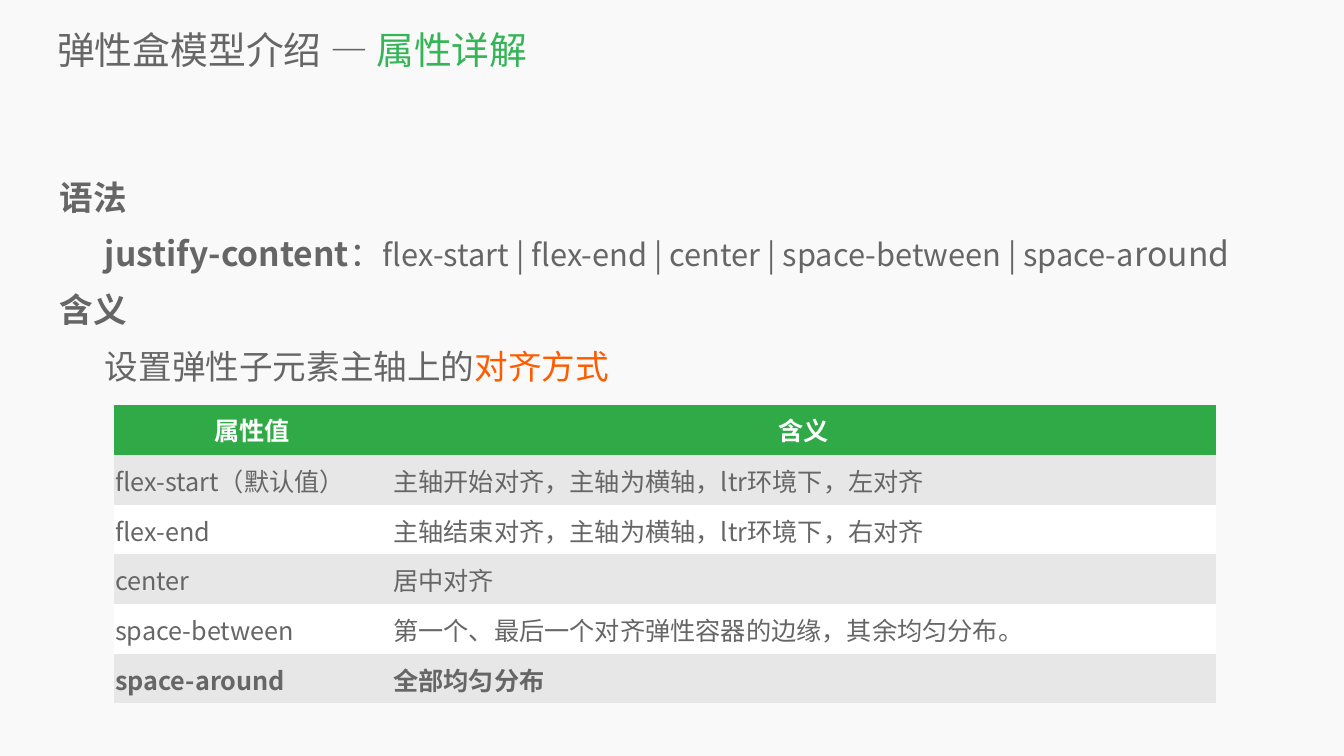
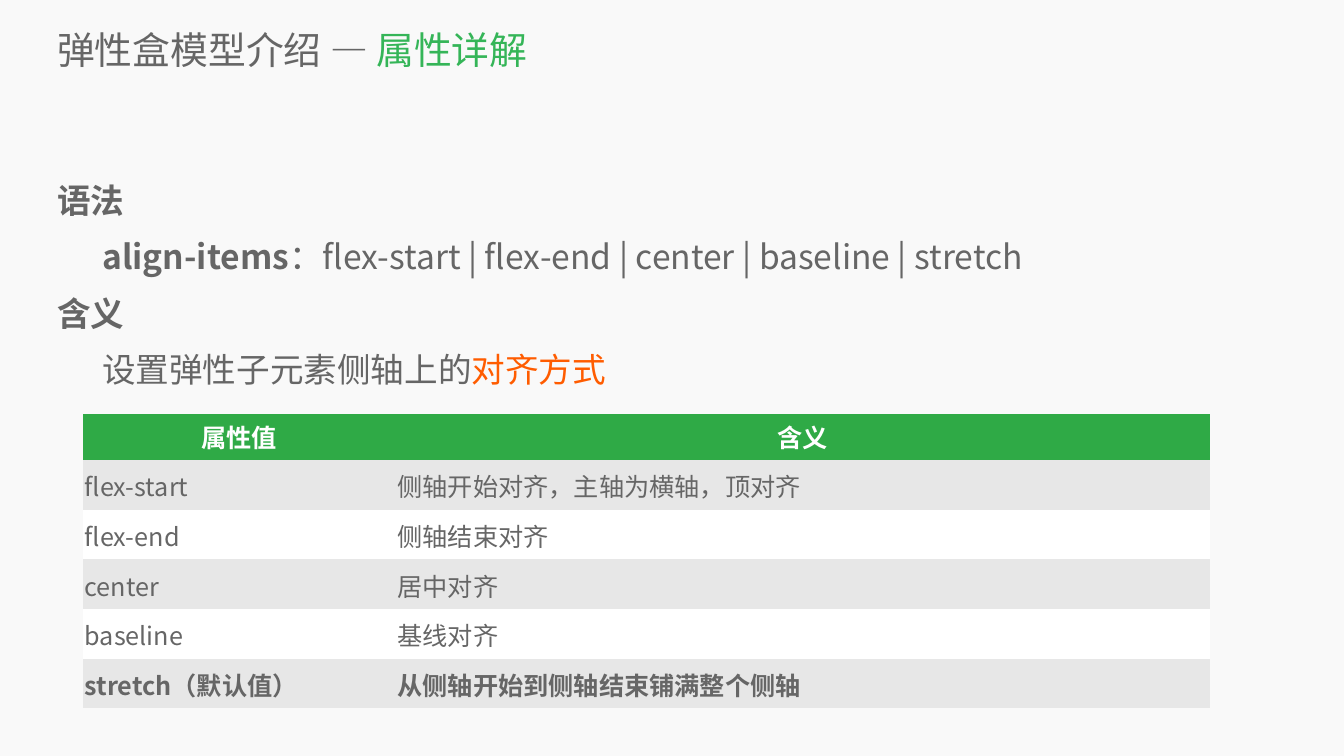
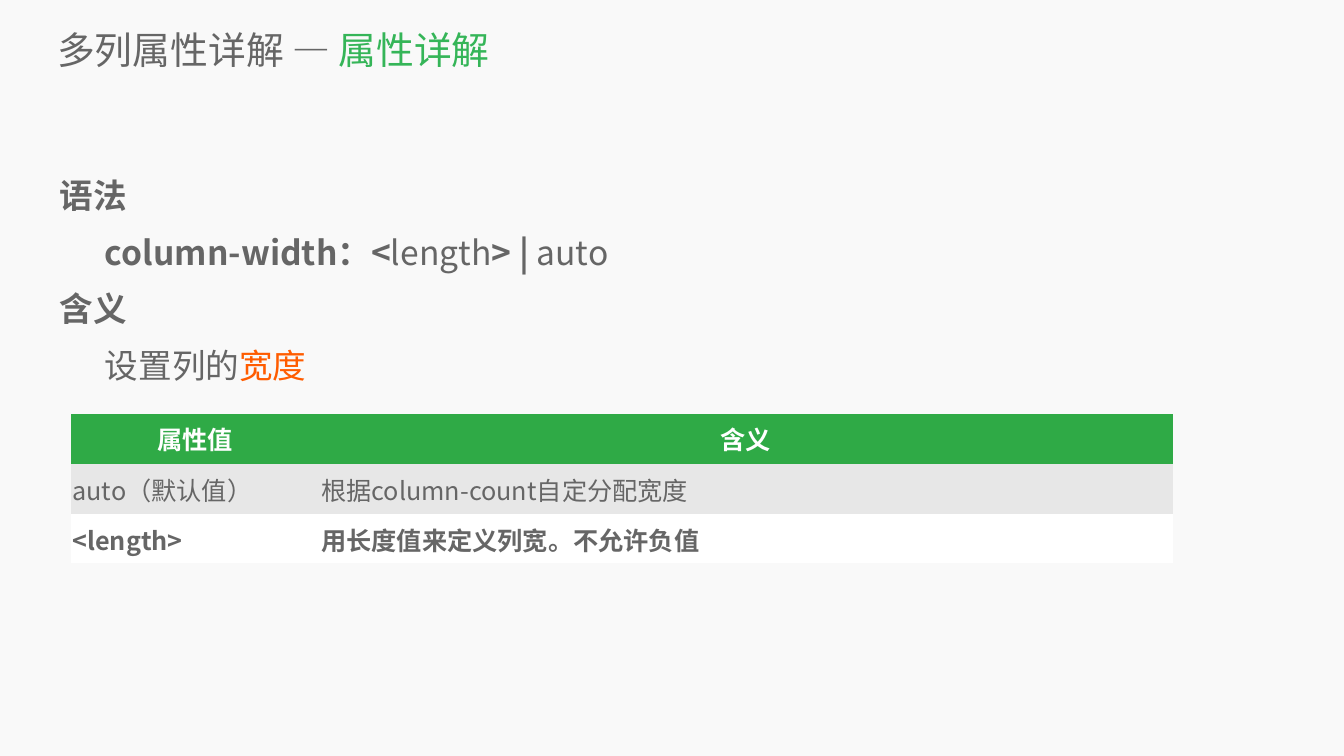
"""Build three slides that explain CSS layout properties with value tables."""
from dataclasses import dataclass

from pptx import Presentation
from pptx.dml.color import RGBColor as Rgb
from pptx.enum.text import MSO_ANCHOR as Anchor, MSO_AUTO_SIZE as Fit, PP_ALIGN as Align
from pptx.oxml import parse_xml
from pptx.oxml.ns import nsdecls, qn
from pptx.util import Pt


@dataclass(frozen=True)
class Theme:
    font: str = "Noto Sans CJK SC"
    back: str = "F9F9F9"
    gray: str = "666666"
    green: str = "35B558"
    orange: str = "FF5C00"
    head: str = "2FAA46"
    white: str = "FFFFFF"
    band: str = "E7E7E7"
    title: int = 54
    body: int = 48
    small: int = 44
    cell: int = 36


theme = Theme()
plain = "{2D5ABB26-0587-4C30-8999-92F81FD0307C}"


def style(run, size, color, bold=False):
    font = run.font
    font.size, font.bold, font.name = Pt(size), bold, theme.font
    font.color.rgb = Rgb.from_string(color)
    east = parse_xml(f'<a:ea {nsdecls("a")} typeface="{theme.font}"/>')
    font._element.find(qn("a:latin")).addnext(east)


def frame_up(frame, anchor):
    frame.margin_left = frame.margin_right = frame.margin_top = frame.margin_bottom = 0
    frame.word_wrap, frame.auto_size = True, Fit.NONE
    frame.vertical_anchor = anchor


pages = [
    {
        "topic": "弹性盒模型介绍",
        "body": (85.5, 229),
        "syntax": [
            ("\tjustify-content", True, theme.body),
            ("：", False, theme.body),
            ("flex-start | flex-end | center | space-between | space-a", False, theme.small),
            ("round", False, theme.body),
        ],
        "sense": ("\t设置弹性子元素主轴上的", "对齐方式"),
        "table": (162.5, 578),
        "cols": (397.5, 1176.5),
        "head": 72,
        "rows": [
            ("flex-start（默认值）", "主轴开始对齐，主轴为横轴，ltr环境下，左对齐"),
            ("flex-end", "主轴结束对齐，主轴为横轴，ltr环境下，右对齐"),
            ("center", "居中对齐"),
            ("space-between", "第一个、最后一个对齐弹性容器的边缘，其余均匀分布。"),
            ("space-around", "全部均匀分布"),
        ],
    },
    {
        "topic": "弹性盒模型介绍",
        "body": (81.5, 233.5),
        "syntax": [
            ("\talign-items", True, theme.body),
            ("：flex-start | flex-end | center | baseline | stretch", False, theme.body),
        ],
        "sense": ("\t设置弹性子元素侧轴上的", "对齐方式"),
        "table": (119, 591),
        "cols": (447, 1163),
        "head": 63.5,
        "rows": [
            ("flex-start", "侧轴开始对齐，主轴为横轴，顶对齐"),
            ("flex-end", "侧轴结束对齐"),
            ("center", "居中对齐"),
            ("baseline", "基线对齐"),
            ("stretch（默认值）", "从侧轴开始到侧轴结束铺满整个侧轴"),
        ],
    },
    {
        "topic": "多列属性详解",
        "body": (85.5, 227.5),
        "syntax": [
            ("\tcolumn-width：<", True, theme.body),
            ("length", False, theme.body),
            ("> | ", True, theme.body),
            ("auto", False, theme.body),
        ],
        "sense": ("\t设置列的", "宽度"),
        "table": (101.5, 591),
        "cols": (355.5, 1219),
        "head": 72,
        "rows": [
            ("auto（默认值）", "根据column-count自定分配宽度"),
            ("<length>", "用长度值来定义列宽。不允许负值"),
        ],
    },
]

deck = Presentation()
deck.slide_width, deck.slide_height = Pt(1920), Pt(1080)
fill = deck.slide_master.background.fill
fill.solid()
fill.fore_color.rgb = Rgb.from_string(theme.back)

for page in pages:
    slide = deck.slides.add_slide(deck.slide_layouts[5])

    title = slide.shapes.title
    title.left, title.top, title.width, title.height = Pt(81.5), Pt(34), Pt(1811.5), Pt(73.5)
    frame_up(title.text_frame, Anchor.MIDDLE)
    para = title.text_frame.paragraphs[0]
    para.alignment = Align.LEFT
    for text, color in ((page["topic"] + " — ", theme.gray), ("属性详解", theme.green)):
        run = para.add_run()
        run.text = text
        style(run, theme.title, color)

    left, top = page["body"]
    box = slide.shapes.add_textbox(Pt(left), Pt(top), Pt(1748), Pt(809.5))
    frame = box.text_frame
    frame_up(frame, Anchor.TOP)
    lead, key = page["sense"]
    lines = [
        [("语法", True, theme.body)],
        page["syntax"],
        [("含义", True, theme.body)],
        [(lead, False, theme.body), (key, False, theme.body)],
    ]
    for i, line in enumerate(lines):
        para = frame.add_paragraph() if i else frame.paragraphs[0]
        para.line_spacing = 1.4
        tabs = f'<a:tabLst {nsdecls("a")}><a:tab pos="{Pt(64.5)}" algn="l"/></a:tabLst>'
        para._p.get_or_add_pPr().append(parse_xml(tabs))
        for text, bold, size in line:
            run = para.add_run()
            run.text = text
            style(run, size, theme.orange if text == key else theme.gray, bold)

    rows = [("属性值", "含义")] + page["rows"]
    tall = [page["head"]] + [70.9] * len(page["rows"])
    left, top = page["table"]
    grid = slide.shapes.add_table(
        len(rows), 2, Pt(left), Pt(top), Pt(sum(page["cols"])), Pt(sum(tall)))
    table = grid.table
    table.horz_banding = False
    grid._element.find(".//" + qn("a:tableStyleId")).text = plain
    for col, wide in zip(table.columns, page["cols"]):
        col.width = Pt(wide)
    for r, row in enumerate(rows):
        table.rows[r].height = Pt(tall[r])
        head, last = r == 0, r == len(rows) - 1
        shade = theme.head if head else theme.band if r % 2 else theme.white
        for c, text in enumerate(row):
            cell = table.cell(r, c)
            cell.text = text
            cell.vertical_anchor = Anchor.MIDDLE
            cell.margin_left = Pt(2)
            cell.margin_right = Pt(3.6 if head or c else 7.2)
            cell.margin_top = Pt(7.2 if head else 5.8)
            cell.margin_bottom = Pt(7.2 if head else 3.6)
            cell.fill.solid()
            cell.fill.fore_color.rgb = Rgb.from_string(shade)
            para = cell.text_frame.paragraphs[0]
            para.alignment = Align.CENTER if head else Align.LEFT
            style(para.runs[0], theme.cell, theme.white if head else theme.gray, head or last)

deck.save("out.pptx")
